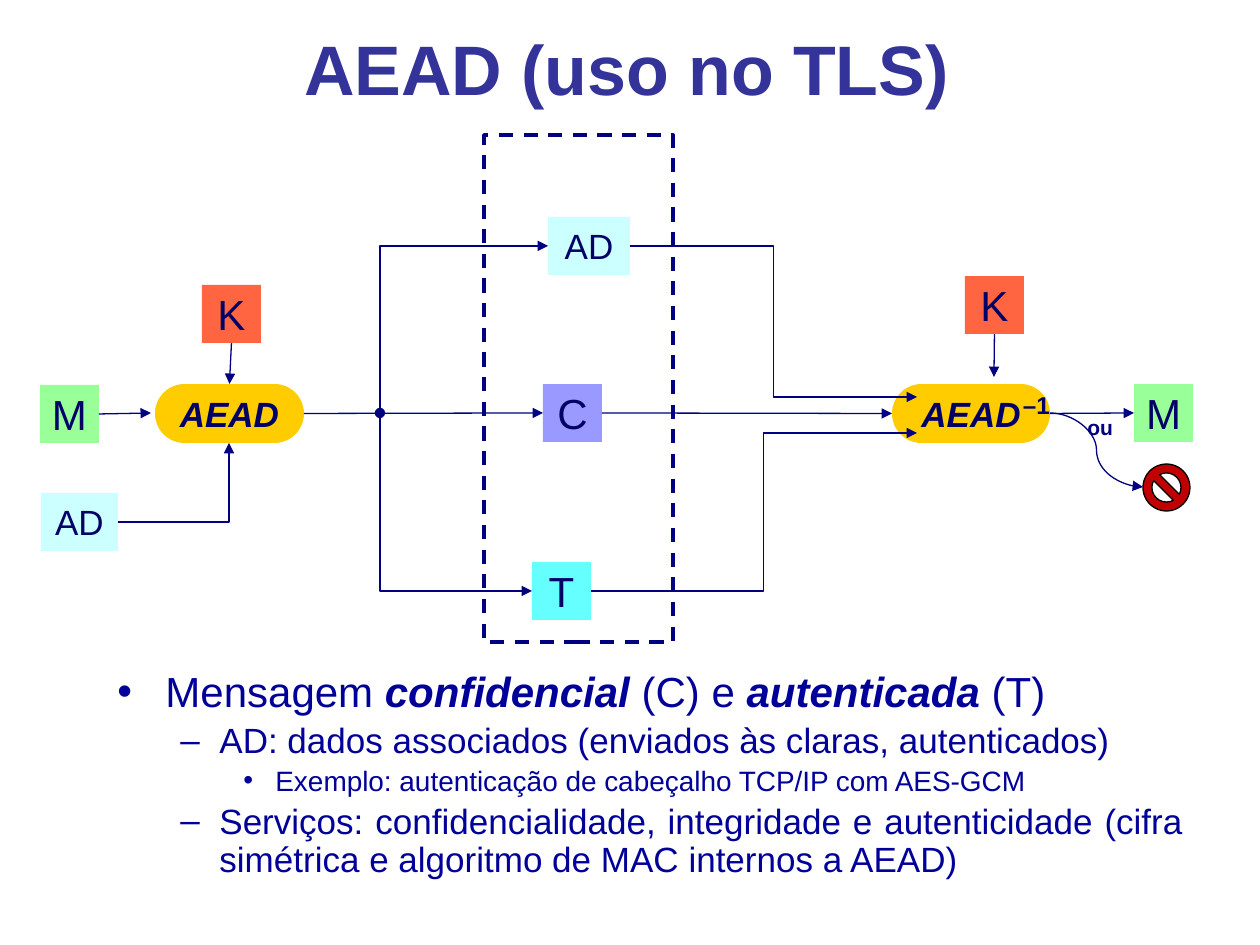
from typing import NamedTuple, Optional

from lxml.etree import SubElement
from pptx import Presentation
from pptx.dml.color import RGBColor
from pptx.enum.dml import MSO_LINE
from pptx.enum.shapes import MSO_CONNECTOR as Link, MSO_SHAPE as Shape
from pptx.enum.text import MSO_ANCHOR as Anchor, PP_ALIGN as Align
from pptx.oxml.ns import qn
from pptx.util import Emu, Pt

PX = 914400 / 126

INDIGO = RGBColor(0x33, 0x33, 0x99)
BLUE = RGBColor(0x00, 0x00, 0x99)
NAVY = RGBColor(0x00, 0x00, 0x80)
INK = RGBColor(0x00, 0x00, 0x66)
AMBER = RGBColor(0xFF, 0xCC, 0x00)
GREEN = RGBColor(0x99, 0xFF, 0x99)
ORANGE = RGBColor(0xFF, 0x65, 0x41)
LILAC = RGBColor(0x99, 0x99, 0xFF)
CYAN = RGBColor(0x66, 0xFF, 0xFF)
PALE = RGBColor(0xCC, 0xFF, 0xFF)
RED = RGBColor(0xC0, 0x00, 0x00)
BLACK = RGBColor(0x00, 0x00, 0x00)


class Node(NamedTuple):
    key: str
    text: str
    left: int
    top: int
    color: RGBColor
    size: int = 24
    width: int = 59
    height: int = 58
    pill: bool = False


class Arrow(NamedTuple):
    source: str
    start: tuple
    target: Optional[str]
    end: tuple
    sides: tuple = (3, 1)


class Route(NamedTuple):
    start: tuple
    end: tuple
    kind: str  # "across" and "down" turn once, "step" and "curve" turn twice
    turn: int = 50000
    dot: bool = False


class Bullet(NamedTuple):
    level: int
    spans: tuple  # every second span is emphasised


NODES = [
    Node("seal", "AEAD", 155, 384, AMBER, 20, 149, 59, True),
    Node("message", "M", 40, 385, GREEN),
    Node("key", "K", 202, 285, ORANGE),
    Node("cipher", "C", 543, 384, LILAC),
    Node("tag", "T", 532, 562, CYAN),
    Node("open", "AEAD", 892, 384, AMBER, 20, 158, 59, True),
    Node("result", "M", 1134, 384, GREEN),
    Node("open key", "K", 965, 276, ORANGE),
    Node("data", "AD", 41, 493, PALE, 20, 77),
    Node("sent data", "AD", 548, 217, PALE, 20, 82),
]
ARROWS = [
    Arrow("message", (99, 414), None, (151, 413)),
    Arrow("key", (231, 343), "seal", (229, 384), (2, 0)),
    Arrow("seal", (304, 413), "cipher", (543, 413)),
    Arrow("cipher", (602, 413), "open", (892, 413)),
    Arrow("open", (1050, 413), "result", (1134, 413)),
    Arrow("open key", (994, 334), None, (994, 377), (2, 0)),
]
ROUTES = [
    Route((380, 413), (532, 591), "down", dot=True),
    Route((380, 408), (548, 246), "down"),
    Route((118, 522), (229, 443), "across"),
    Route((591, 591), (917, 433), "step", 52900),
    Route((630, 246), (917, 397), "step"),
    Route((1050, 413), (1143, 487), "curve"),
]
BULLETS = [
    Bullet(0, ("Mensagem ", "confidencial", " (C) e ", "autenticada ", "(T)")),
    Bullet(1, ("AD: dados associados (enviados às claras, autenticados)",)),
    Bullet(2, ("Exemplo: autenticação de cabeçalho TCP/IP com AES-GCM",)),
    Bullet(1, ("Serviços: confidencialidade, integridade e autenticidade "
               "(cifra simétrica e algoritmo de MAC internos a AEAD)",)),
]
# Per level: bullet sign, text size, margin px, hanging px, space before pt
LEVELS = [("•", 24, 48, 48, 0), ("–", 20, 102, 39, 4), ("•", 16, 158, 32, 3.2)]


def px(value: float) -> Emu:
    return Emu(round(value * PX))


def add_span(para, text: str, *, size: int, color: RGBColor, bold=False,
             italic=False, raised=False) -> None:
    span = para.add_run()
    span.text = text
    span.font.name = "Arial"
    span.font.size = Pt(size)
    span.font.bold, span.font.italic = bold, italic
    span.font.color.rgb = color
    if raised:
        span._r.get_or_add_rPr().set("baseline", "30000")


def add_label(page, text: str, *area: int, align=Align.CENTER,
              anchor=Anchor.TOP, **style) -> None:
    box = page.shapes.add_textbox(*map(px, area))
    box.text_frame.word_wrap = False
    box.text_frame.vertical_anchor = anchor
    para = box.text_frame.paragraphs[0]
    para.alignment = align
    add_span(para, text, **style)


def add_outline(page, kind, *area: int, fill: Optional[RGBColor] = None,
                line: Optional[RGBColor] = None, weight: float = 0.75):
    shape = page.shapes.add_shape(kind, *map(px, area))
    shape.shadow.inherit = False
    for paint, color in ((shape.fill, fill), (shape.line.fill, line)):
        if color is None:
            paint.background()
        else:
            paint.solid()
            paint.fore_color.rgb = color
    if line is not None:
        shape.line.width = Pt(weight)
    return shape


def add_node(page, node: Node):
    kind = Shape.ROUNDED_RECTANGLE if node.pill else Shape.RECTANGLE
    shape = add_outline(page, kind, node.left, node.top, node.width,
                        node.height, fill=node.color)
    if node.pill:
        shape.adjustments[0] = 0.5
    frame = shape.text_frame
    frame.word_wrap = False
    frame.vertical_anchor = Anchor.MIDDLE
    frame.paragraphs[0].alignment = Align.CENTER
    add_span(frame.paragraphs[0], node.text, size=node.size, color=INK,
             bold=node.pill, italic=node.pill)
    return shape


def add_link(page, kind, start: tuple, end: tuple, dot=False):
    link = page.shapes.add_connector(kind, *map(px, start + end))
    link.line.color.rgb = NAVY
    link.line.width = Pt(0.75)
    line = link.line._get_or_add_ln()
    if dot:
        SubElement(line, qn("a:headEnd"), type="oval")
    SubElement(line, qn("a:tailEnd"), type="triangle")
    SubElement(link._element.spPr, qn("a:effectLst"))
    return link


def add_arrow(page, arrow: Arrow, shapes: dict) -> None:
    link = add_link(page, Link.STRAIGHT, arrow.start, arrow.end)
    link.begin_connect(shapes[arrow.source], arrow.sides[0])
    if arrow.target:
        link.end_connect(shapes[arrow.target], arrow.sides[1])


def add_route(page, route: Route) -> None:
    kind = Link.CURVE if route.kind == "curve" else Link.ELBOW
    link = add_link(page, kind, route.start, route.end, route.dot)
    geometry = link._element.spPr.find(qn("a:prstGeom"))
    if route.kind in ("across", "down"):
        geometry.set("prst", "bentConnector2")
    else:
        SubElement(geometry.find(qn("a:avLst")), qn("a:gd"), name="adj1",
                   fmla=f"val {route.turn}")
    if route.kind == "down":
        # Vertical first: a quarter turn about the same centre
        (x1, y1), (x2, y2) = route.start, route.end
        wide, high = abs(y2 - y1), abs(x2 - x1)
        link.left, link.top = px((x1 + x2 - wide) / 2), px((y1 + y2 - high) / 2)
        link.width, link.height = px(wide), px(high)
        frame = link._element.spPr.find(qn("a:xfrm"))
        frame.set("rot", str((270 if y2 > y1 else 90) * 60000))
        frame.set("flipH", "1")
        frame.set("flipV", "0" if y2 > y1 else "1")


def add_bullets(page, bullets: list, *area: int) -> None:
    frame = page.shapes.add_textbox(*map(px, area)).text_frame
    frame.word_wrap = True
    for index, bullet in enumerate(bullets):
        para = frame.add_paragraph() if index else frame.paragraphs[0]
        sign, size, margin, hanging, before = LEVELS[bullet.level]
        para.level = bullet.level
        para.alignment = Align.JUSTIFY
        para.line_spacing = 0.9
        para.space_before = Pt(before)
        props = para._p.get_or_add_pPr()
        props.set("marL", str(px(margin)))
        props.set("indent", str(-px(hanging)))
        tint = SubElement(props, qn("a:buClr"))
        SubElement(tint, qn("a:srgbClr"), val=str(BLUE))
        SubElement(props, qn("a:buFont"), typeface="Arial")
        SubElement(props, qn("a:buChar"), char=sign)
        for order, text in enumerate(bullet.spans):
            strong = order % 2 == 1
            add_span(para, text, size=size, color=BLUE, bold=strong, italic=strong)


def main() -> None:
    deck = Presentation()
    deck.slide_width, deck.slide_height = px(1260), px(945)
    page = deck.slides.add_slide(deck.slide_layouts[6])

    # Title and channel frame
    add_label(page, "AEAD (uso no TLS)", 147, 26, 959, 84, size=40,
              color=INDIGO, bold=True, anchor=Anchor.MIDDLE)
    channel = add_outline(page, Shape.RECTANGLE, 484, 135, 189, 507,
                          line=NAVY, weight=2)
    channel.line.dash_style = MSO_LINE.DASH

    # Diagram
    shapes = {node.key: add_node(page, node) for node in NODES}
    reject = add_outline(page, Shape.NO_SYMBOL, 1143, 464, 47, 47,
                         fill=RED, line=BLACK)
    reject.adjustments[0] = 0.19
    for arrow in ARROWS:
        add_arrow(page, arrow, shapes)
    for route in ROUTES:
        add_route(page, route)
    add_label(page, "ou", 1075, 408, 52, 38, size=12, color=NAVY, bold=True,
              align=Align.LEFT)
    add_label(page, "–1", 1008, 379, 57, 47, size=24, color=INK, bold=True,
              raised=True)

    # Explanation
    add_bullets(page, BULLETS, 105, 665, 1091, 238)
    deck.save("out.pptx")


if __name__ == "__main__":
    main()
